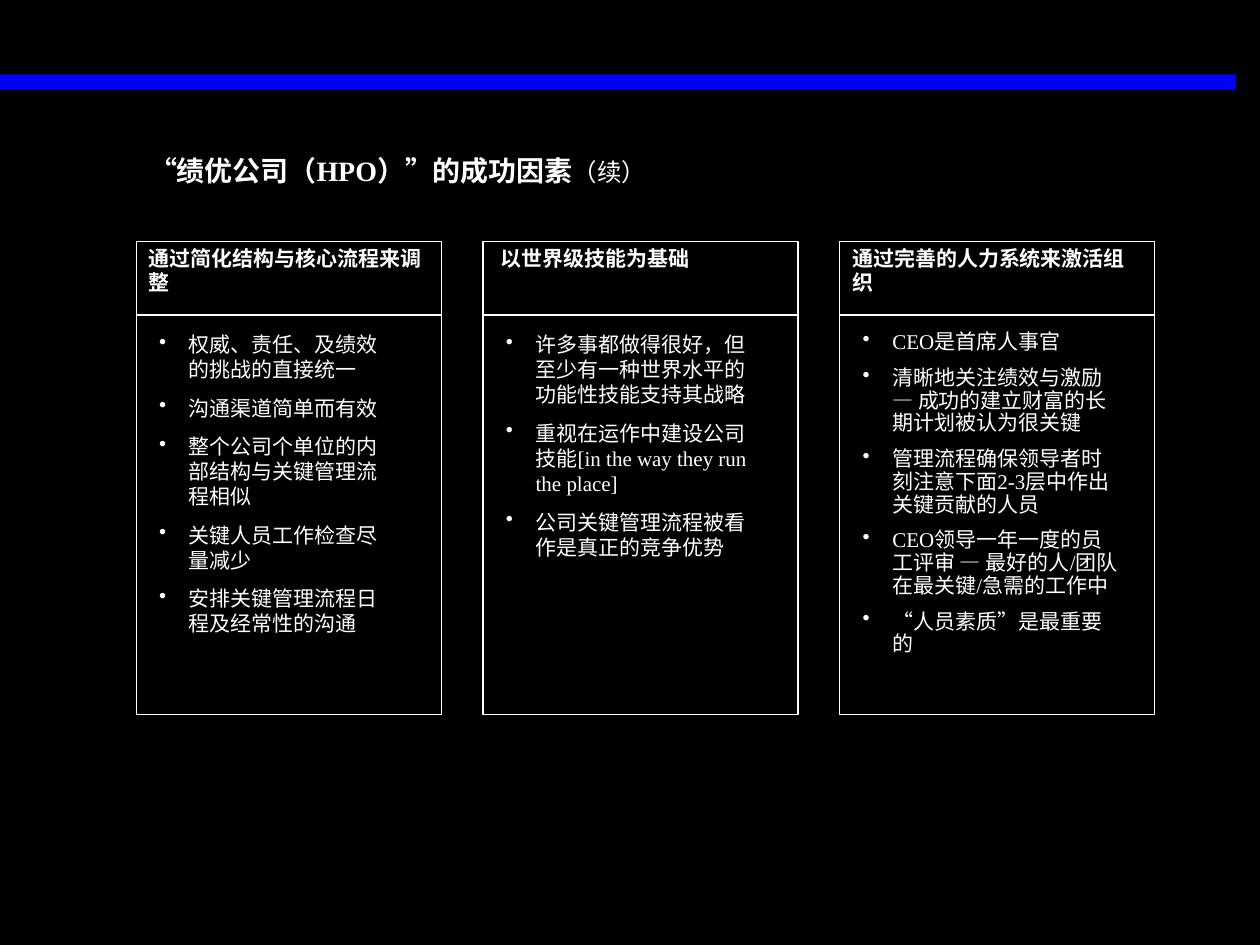
"""Build the slide on success factors of high-performance companies."""
from lxml import etree
from pptx import Presentation
from pptx.dml.color import RGBColor
from pptx.enum.shapes import MSO_CONNECTOR, MSO_SHAPE
from pptx.enum.text import MSO_ANCHOR, MSO_AUTO_SIZE, PP_ALIGN
from pptx.oxml.ns import qn
from pptx.util import Cm, Pt

COLORS = {"background": "000000", "bar": "0000FE", "text": "FFFFFF"}
RGB = {name: RGBColor.from_string(value) for name, value in COLORS.items()}
FONT = "Times New Roman"
COLUMN_TOP, COLUMN_HEIGHT, GAP = 4.87, 9.53, 0.84
RULE_TOP, BODY_TOP = 6.35, 6.56

COLUMNS = [
    {"width": 6.15, "body_width": 5.29, "shift": 0, "spacing": 1.0,
     "heading": "通过简化结构与核心流程来调整",
     "points": ["权威、责任、及绩效的挑战的直接统一",
                "沟通渠道简单而有效",
                "整个公司个单位的内部结构与关键管理流程相似",
                "关键人员工作检查尽量减少",
                "安排关键管理流程日程及经常性的沟通"]},
    {"width": 6.35, "body_width": 5.72, "shift": 0.1, "spacing": 1.0,
     "heading": "以世界级技能为基础",
     "points": ["许多事都做得很好，但至少有一种世界水平的功能性技能支持其战略",
                "重视在运作中建设公司技能[in the way they run the place]",
                "公司关键管理流程被看作是真正的竞争优势"]},
    {"width": 6.35, "body_width": 5.72, "shift": 0, "spacing": 0.9,
     "heading": "通过完善的人力系统来激活组织",
     "points": ["CEO是首席人事官",
                "清晰地关注绩效与激励 — 成功的建立财富的长期计划被认为很关键",
                "管理流程确保领导者时刻注意下面2-3层中作出关键贡献的人员",
                "CEO领导一年一度的员工评审 — 最好的人/团队在最关键/急需的工作中",
                "“人员素质”是最重要的"]},
]


def style_font(font, size, bold):
    font.name, font.size, font.bold = FONT, Pt(size), bold
    font.color.rgb = RGB["text"]


def add_text(slide, left, top, width, height, lines, spacing, bulleted):
    frame = slide.shapes.add_textbox(Cm(left), Cm(top), Cm(width), Cm(height)).text_frame
    frame.word_wrap = True
    for index, line in enumerate(lines):
        paragraph = frame.add_paragraph() if index else frame.paragraphs[0]
        paragraph.text = line
        paragraph.line_spacing = spacing
        paragraph.space_before = Pt(7.5 if index else 0)
        if bulleted:
            properties = paragraph._p.get_or_add_pPr()
            properties.set("marL", str(Cm(0.6)))
            properties.set("indent", str(-Cm(0.6)))
            bullet_color = etree.SubElement(properties, qn("a:buClr"))
            etree.SubElement(bullet_color, qn("a:srgbClr"), val=COLORS["text"])
            etree.SubElement(properties, qn("a:buChar"), char="•")
        style_font(paragraph.font, 12, not bulleted)


presentation = Presentation()
presentation.slide_width, presentation.slide_height = Cm(25.4), Cm(19.05)
slide = presentation.slides.add_slide(presentation.slide_layouts[5])
slide.background.fill.solid()
slide.background.fill.fore_color.rgb = RGB["background"]

bar = slide.shapes.add_shape(MSO_SHAPE.RECTANGLE, 0, Cm(1.5), Cm(24.92), Cm(0.3))
bar.shadow.inherit = False
bar.fill.solid()
bar.fill.fore_color.rgb = RGB["bar"]
bar.line.fill.background()

title = slide.shapes.title
title.left, title.top, title.width, title.height = Cm(2.75), Cm(2.96), Cm(11.64), Cm(1.62)
title.text_frame.auto_size = MSO_AUTO_SIZE.NONE
title.text_frame.vertical_anchor = MSO_ANCHOR.TOP
title_paragraph = title.text_frame.paragraphs[0]
title_paragraph.alignment = PP_ALIGN.LEFT
for text, size, bold in [("“绩优公司（HPO）”的成功因素", 16, True), ("（续）", 14, False)]:
    run = title_paragraph.add_run()
    run.text = text
    style_font(run.font, size, bold)

left = 2.75
for column in COLUMNS:
    width = column["width"]
    panel = slide.shapes.add_shape(
        MSO_SHAPE.RECTANGLE, Cm(left), Cm(COLUMN_TOP), Cm(width), Cm(COLUMN_HEIGHT))
    panel.shadow.inherit = False
    panel.fill.solid()
    panel.fill.fore_color.rgb = RGB["background"]
    rule = slide.shapes.add_connector(
        MSO_CONNECTOR.STRAIGHT, Cm(left), Cm(RULE_TOP), Cm(left + width), Cm(RULE_TOP))
    etree.SubElement(rule._element.spPr, qn("a:effectLst"))
    for outlined in (panel, rule):
        outlined.line.color.rgb = RGB["text"]
        outlined.line.width = Pt(0.75)
    add_text(slide, left + column["shift"], COLUMN_TOP, 6.15, 1.22,
             [column["heading"]], 0.95, False)
    add_text(slide, left + 0.21, BODY_TOP, column["body_width"], 6.5,
             column["points"], column["spacing"], True)
    left += width + GAP

presentation.save("out.pptx")
